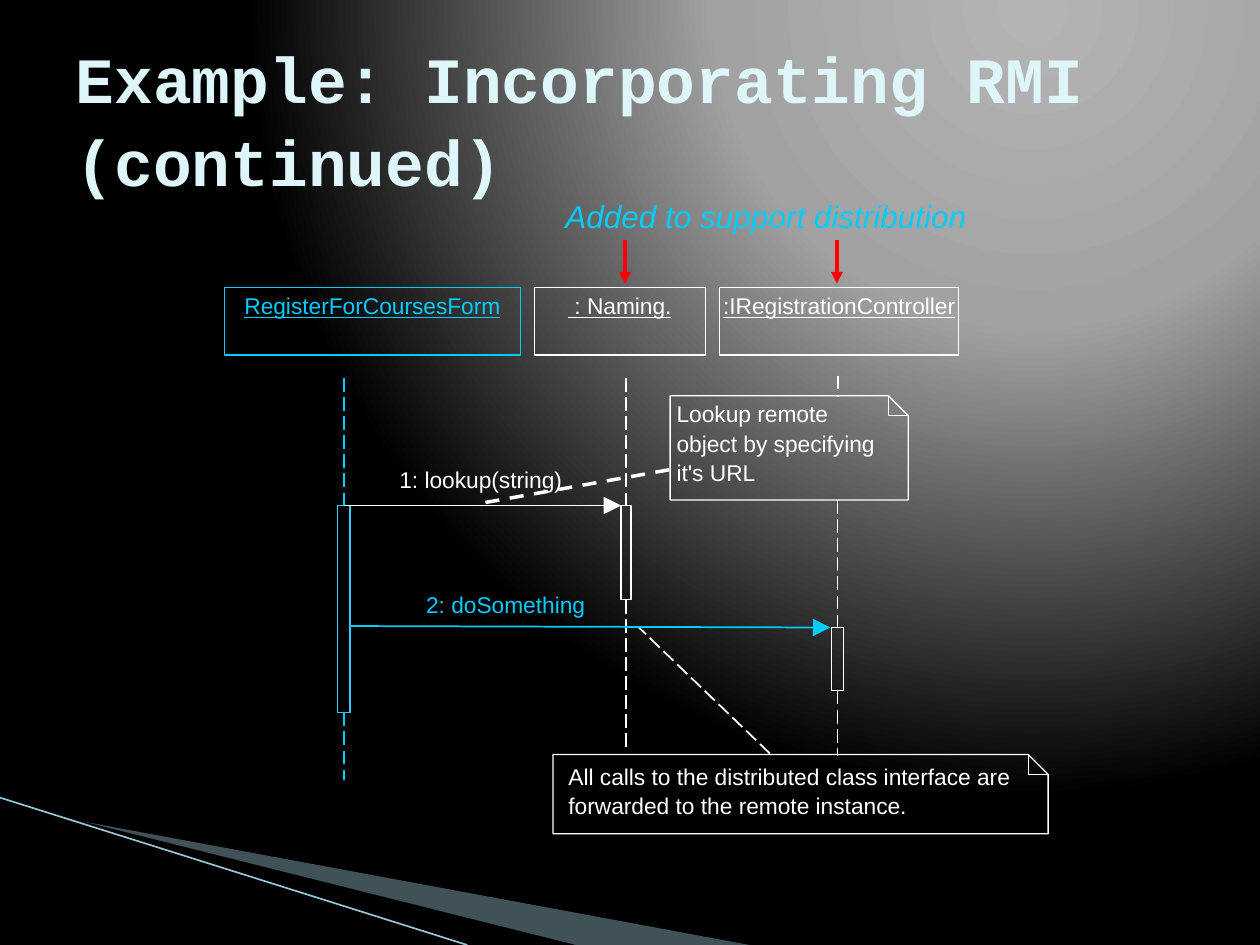
from dataclasses import dataclass

from lxml.etree import SubElement
from pptx import Presentation
from pptx.dml.color import RGBColor
from pptx.enum.dml import MSO_LINE
from pptx.enum.shapes import MSO_CONNECTOR, MSO_SHAPE
from pptx.enum.text import MSO_ANCHOR, MSO_AUTO_SIZE, PP_ALIGN
from pptx.oxml import parse_xml
from pptx.oxml.ns import nsdecls, qn
from pptx.util import Cm, Pt


@dataclass(frozen=True)
class Theme:
    white: str = "FFFFFF"
    cyan: str = "00CCFF"
    edge: str = "33CCFF"
    red: str = "FF0000"
    pale: str = "DEF5FA"
    wedge: str = "A0CBDC"
    black: str = "000000"
    stripe: str = "97C5D8"
    glow: tuple = ((0, "B4B4B4"), (40, "A2A2A2"), (100, "000000"))
    sans: str = "Arial"
    mono: str = "Courier New"
    head: float = 36.9
    sub: float = 18
    body: float = 13


T = Theme()
LONG, DASH = MSO_LINE.LONG_DASH, MSO_LINE.DASH
TITLE = "Example: Incorporating RMI (continued)"

WEDGES = [
    ([(1.4, 16.51), (15.11, 19.05), (11.58, 19.05)], T.wedge, 40),
    ([(1.35, 16.48), (11.6, 19.05), (9.45, 19.05)], T.black, 100),
]
HEADS = [
    ("RegisterForCoursesForm", 4.52, 5.97, T.cyan),
    (" : Naming.", 10.77, 3.45, T.white),
    (":IRegistrationController", 14.5, 4.83, T.white),
]
HEAD_TOP, HEAD_TALL = 5.79, 1.37

# left, top, width, height, bar colour, lifeline start, lifeline end, lifeline colour
LIVES = [
    (6.81, 10.19, 0.25, 4.17, T.edge, 7.62, 15.72, T.cyan),
    (12.52, 10.19, 0.2, 1.9, T.white, 7.62, 15.16, T.white),
    (16.76, 12.65, 0.25, 1.27, T.white, 10.08, 15.24, T.white),
]
NOTES = [(13.51, 7.98, 4.8, 2.1), (11.15, 15.21, 9.98, 1.6)]
FOLD = 0.4
TEXTS = [
    ("Lookup remote object by specifying it's URL", 13.64, 8.02, 4.3, 1.7, T.white),
    ("All calls to the distributed class interface are forwarded to the remote instance.",
     11.46, 15.33, 9.2, 1.15, T.white),
    ("1: lookup(string)", 8.05, 9.35, 3.5, 0.56, T.white),
    ("2: doSomething", 8.59, 11.86, 3.5, 0.56, T.cyan),
]
LINES = [
    ((0, 16.08), (9.42, 19.05), T.stripe, 0.95, None, None),
    ((16.89, 7.57), (16.89, 8), T.white, 1, LONG, None),
    ((15.52, 15.19), (12.88, 12.65), T.white, 1, LONG, None),
    ((13.49, 9.47), (9.78, 10.13), T.white, 0, DASH, None),
    ((6.93, 10.19), (12.52, 10.19), T.white, 1, None, "lg"),
    ((7.06, 12.62), (16.74, 12.65), T.cyan, 1, None, "lg"),
    ((12.6, 4.83), (12.6, 5.72), T.red, 2.25, None, "med"),
    ((16.87, 4.83), (16.87, 5.72), T.red, 2.25, None, "med"),
]


def tint(code):
    return RGBColor.from_string(code)


def style(para, size, color, face=T.sans):
    para.font.size = Pt(size)
    para.font.name = face
    para.font.color.rgb = tint(color)


def glow(slide):
    slide.background.fill.solid()
    stops = "".join(f'<a:gs pos="{at * 1000}"><a:srgbClr val="{code}"/></a:gs>'
                    for at, code in T.glow)
    grad = parse_xml(
        f'<a:gradFill {nsdecls("a")} rotWithShape="1"><a:gsLst>{stops}</a:gsLst>'
        '<a:path path="circle"><a:fillToRect l="65000" t="0" r="0" b="98000"/>'
        '</a:path></a:gradFill>')
    old = next(slide.element.iter(qn("a:solidFill")))
    old.getparent().replace(old, grad)


def hollow(shape, color, width):
    shape.shadow.inherit = False
    shape.fill.background()
    shape.line.color.rgb = tint(color)
    shape.line.width = Pt(width)


def draw(shapes, points, close=True):
    spots = [(Cm(x), Cm(y)) for x, y in points]
    pen = shapes.build_freeform(*spots[0])
    pen.add_line_segments(spots[1:], close=close)
    return pen.convert_to_shape()


def link(shapes, start, end, color, width, dash=None, tip=None):
    line = shapes.add_connector(MSO_CONNECTOR.STRAIGHT, *map(Cm, start + end))
    line.line.color.rgb = tint(color)
    line.line.width = Pt(width)
    if dash:
        line.line.dash_style = dash
    if tip:
        SubElement(line.line._get_or_add_ln(), qn("a:tailEnd"), type="triangle", w=tip, len=tip)
    SubElement(line._element.spPr, qn("a:effectLst"))
    return line


def bare(frame, top=0):
    frame.margin_left = frame.margin_right = frame.margin_bottom = 0
    frame.margin_top = Cm(top)
    frame.vertical_anchor = MSO_ANCHOR.TOP


def label(shapes, text, left, top, wide, tall, color, size=T.body, gap=1.0):
    frame = shapes.add_textbox(Cm(left), Cm(top), Cm(wide), Cm(tall)).text_frame
    bare(frame)
    frame.word_wrap = True
    para = frame.paragraphs[0]
    para.text = text
    para.line_spacing = gap
    style(para, size, color)
    return para


def box(shapes, left, top, wide, tall, color, width):
    shape = shapes.add_shape(MSO_SHAPE.RECTANGLE, Cm(left), Cm(top), Cm(wide), Cm(tall))
    hollow(shape, color, width)
    return shape


def main():
    deck = Presentation()
    deck.slide_width, deck.slide_height = Cm(25.4), Cm(19.05)
    slide = deck.slides.add_slide(deck.slide_layouts[5])
    shapes = slide.shapes
    glow(slide)

    for points, color, alpha in WEDGES:
        wedge = draw(shapes, points)
        wedge.shadow.inherit = False
        wedge.fill.solid()
        wedge.fill.fore_color.rgb = tint(color)
        wedge.line.fill.background()
        if alpha < 100:
            paint = next(wedge._element.spPr.iter(qn("a:srgbClr")))
            SubElement(paint, qn("a:alpha"), val=str(alpha * 1000))

    title = shapes.title
    title.left, title.top, title.width, title.height = map(Cm, (1.27, 0.76, 22.86, 3.18))
    frame = title.text_frame
    frame.text = TITLE
    frame.auto_size = MSO_AUTO_SIZE.NONE
    frame.vertical_anchor = MSO_ANCHOR.MIDDLE
    para = frame.paragraphs[0]
    para.alignment = PP_ALIGN.LEFT
    para.line_spacing = 1.07
    style(para, T.head, T.pale, T.mono)
    para.font.bold = True

    label(shapes, "Added to support distribution", 11.4, 3.97, 8.5, 0.77,
          T.cyan, T.sub).font.italic = True

    for text, left, wide, color in HEADS:
        head = box(shapes, left, HEAD_TOP, wide, HEAD_TALL, color, 0)
        bare(head.text_frame, 0.1)
        head.text_frame.word_wrap = False
        para = head.text_frame.paragraphs[0]
        para.text = text
        para.alignment = PP_ALIGN.CENTER
        style(para, T.body, color)
        para.font.underline = True

    for left, top, wide, tall, edge, start, end, color in LIVES:
        bar = box(shapes, left, top, wide, tall, edge, 0.75)
        mid = left + wide / 2
        link(shapes, (mid, start), (mid, top), color, 1, LONG).end_connect(bar, 0)
        link(shapes, (mid, top + tall), (mid, end), color, 1, LONG).begin_connect(bar, 2)

    for left, top, wide, tall in NOTES:
        right, low = left + wide, top + tall
        bend, tuck = (right - FOLD, top), (right, top + FOLD)
        hollow(draw(shapes, [(left, top), bend, tuck, (right, low), (left, low)]), T.white, 0)
        hollow(draw(shapes, [bend, (right - FOLD, top + FOLD), tuck], False), T.white, 0)

    for item in TEXTS:
        label(shapes, *item, gap=1.08)
    for item in LINES:
        link(shapes, *item)

    deck.save("out.pptx")


if __name__ == "__main__":
    main()
